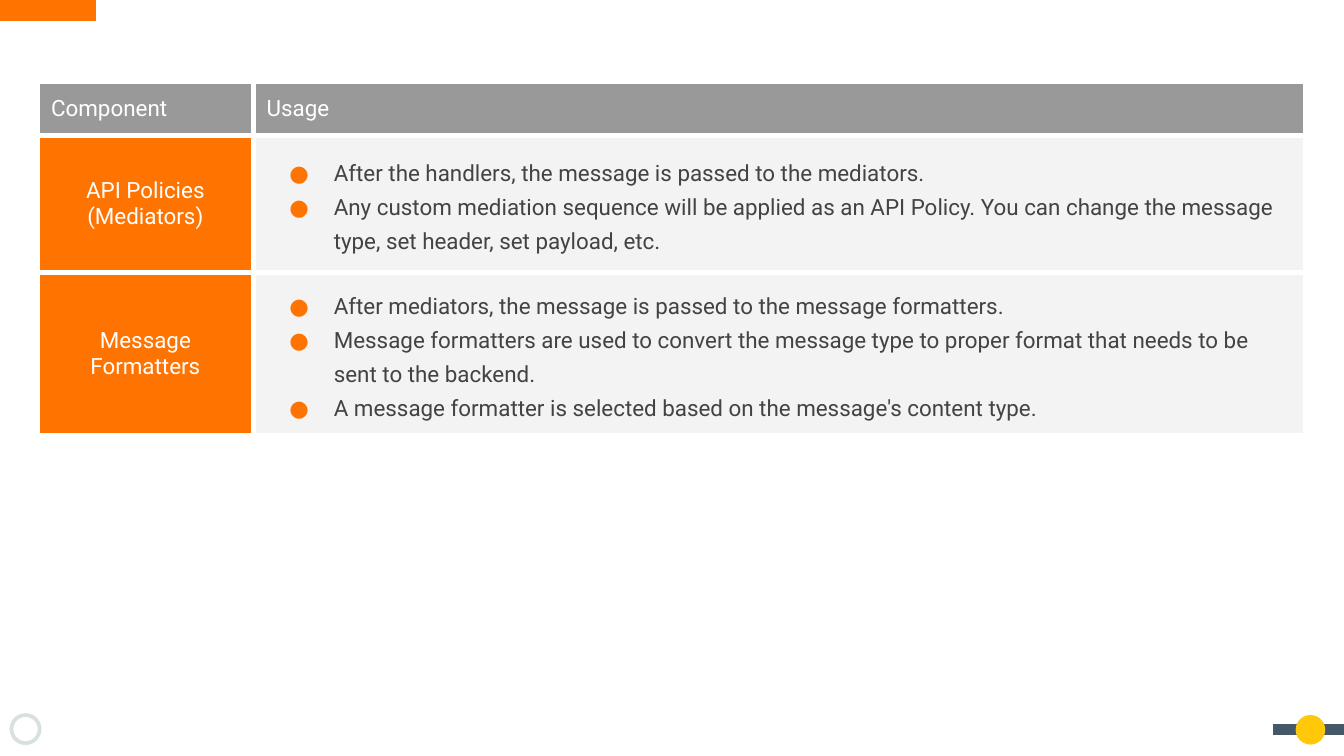
from lxml.etree import Element, SubElement as Sub
from pptx import Presentation as Deck
from pptx.dml.color import RGBColor as RGB
from pptx.enum.shapes import MSO_CONNECTOR as Link, MSO_SHAPE as Form
from pptx.enum.text import MSO_ANCHOR as Anchor, PP_ALIGN as Align
from pptx.oxml.ns import qn
from pptx.util import Inches, Pt

COLS, ROWS = 100, 56.25
WIDE = Inches(10)
HIGH = WIDE * 9 // 16
ORANGE, GRAY, PALE, WHITE = "FF7300", "999999", "F3F3F3", "FFFFFF"
INK, SLATE, GOLD, MIST = "434343", "465867", "FFC808", "D7E2DE"

HEAD = dict(fill=GRAY, ink=WHITE, para=dict(alignment=Align.LEFT))
NAME = dict(fill=ORANGE, ink=WHITE, para=dict(alignment=Align.CENTER))
LIST = dict(fill=PALE, ink=INK, bullet=ORANGE, indent=(5, -3.3),
            para=dict(alignment=Align.LEFT, line_spacing=1.3))

DATA = [
    [["Component"], ["Usage"]],
    [["API Policies (Mediators)"],
     ["After the handlers, the message is passed to the mediators.",
      "Any custom mediation sequence will be applied as an API Policy. "
      "You can change the message type, set header, set payload, etc."]],
    [["Message Formatters"],
     ["After mediators, the message is passed to the message formatters.",
      "Message formatters are used to convert the message type to proper "
      "format that needs to be sent to the backend.",
      "A message formatter is selected based on the message's content type."]],
]


def tint(code):
    return RGB.from_string(code)


def apply(item, look):
    for key, value in look.items():
        setattr(item, key, value)


class Page:
    font = dict(name="Roboto", size=Pt(12))

    def __init__(self, deck):
        self.wide, self.high = deck.slide_width, deck.slide_height
        self.slide = deck.slides.add_slide(deck.slide_layouts[6])
        self.shapes = self.slide.shapes

    def col(self, n):
        return round(self.wide * n / COLS)

    def row(self, n):
        return round(self.high * n / ROWS)

    def bar(self, start, end, level, color, weight):
        y = self.row(level)
        line = self.shapes.add_connector(
            Link.STRAIGHT, self.col(start), y, self.col(end), y)
        line.line.color.rgb = tint(color)
        line.line.width = Pt(weight)
        Sub(line._element.spPr, qn("a:effectLst"))

    def disc(self, left, top, size, fill=None, edge=None):
        disc = self.shapes.add_shape(
            Form.OVAL, self.col(left), self.row(top),
            self.col(size), self.row(size))
        disc.shadow.inherit = False
        if fill:
            disc.fill.solid()
            disc.fill.fore_color.rgb = tint(fill)
        else:
            disc.fill.background()
        if edge:
            disc.line.color.rgb = tint(edge)
            disc.line.width = Pt(2)
        else:
            disc.line.fill.background()

    def edge(self, cell, color, weight):
        props = cell._tc.get_or_add_tcPr()
        for spot, side in enumerate(("lnL", "lnR", "lnT", "lnB")):
            line = Element(qn(f"a:{side}"), w=str(Pt(weight)))
            fill = Sub(line, qn("a:solidFill"))
            Sub(fill, qn("a:srgbClr"), val=color)
            props.insert(spot, line)

    def text(self, para, words, look):
        apply(para, look["para"])
        run = para.add_run()
        run.text = words
        apply(run.font, self.font)
        run.font.color.rgb = tint(look["ink"])
        props = para._p.get_or_add_pPr()
        for key, size in zip(("marL", "indent"), look.get("indent", (0, 0))):
            props.set(key, str(self.col(size)))
        if "bullet" in look:
            color = Sub(props, qn("a:buClr"))
            Sub(color, qn("a:srgbClr"), val=look["bullet"])
            Sub(props, qn("a:buSzPts"), val="1200")
            Sub(props, qn("a:buFont"), typeface=self.font["name"])
            Sub(props, qn("a:buChar"), char="●")

    def cell(self, cell, lines, look):
        pad = self.col(1)
        apply(cell, dict(vertical_anchor=Anchor.MIDDLE, margin_left=pad,
                         margin_right=pad, margin_top=pad, margin_bottom=pad))
        cell.fill.solid()
        cell.fill.fore_color.rgb = tint(look["fill"])
        self.edge(cell, WHITE, 3)
        frame = cell.text_frame
        for n, words in enumerate(lines):
            para = frame.add_paragraph() if n else frame.paragraphs[0]
            self.text(para, words, look)

    def table(self, left, top, cols, rows, data):
        table = self.shapes.add_table(
            len(rows), len(cols), self.col(left), self.row(top),
            self.col(sum(cols)), self.row(sum(rows))).table
        apply(table, dict(first_row=False, horz_banding=False))
        for col, size in zip(table.columns, cols):
            col.width = self.col(size)
        for row, size in zip(table.rows, rows):
            row.height = self.row(size)
        for r, line in enumerate(data):
            for c, words in enumerate(line):
                look = (NAME, LIST)[c] if r else HEAD
                self.cell(table.cell(r, c), words, look)


def main():
    deck = Deck()
    apply(deck, dict(slide_width=WIDE, slide_height=HIGH))
    page = Page(deck)
    page.bar(-0.3, 7.12, 0.75, ORANGE, 12)
    page.disc(0.85, 53.2, 2.1, edge=MIST)
    page.bar(94.7, 100.4, 54.3, SLATE, 6)
    page.disc(96.4, 53.2, 2.2, fill=GOLD)
    page.table(2.8, 6.1, (16.04, 78.3), (3.9, 10.2, 11.9), DATA)
    deck.save("out.pptx")


if __name__ == "__main__":
    main()
